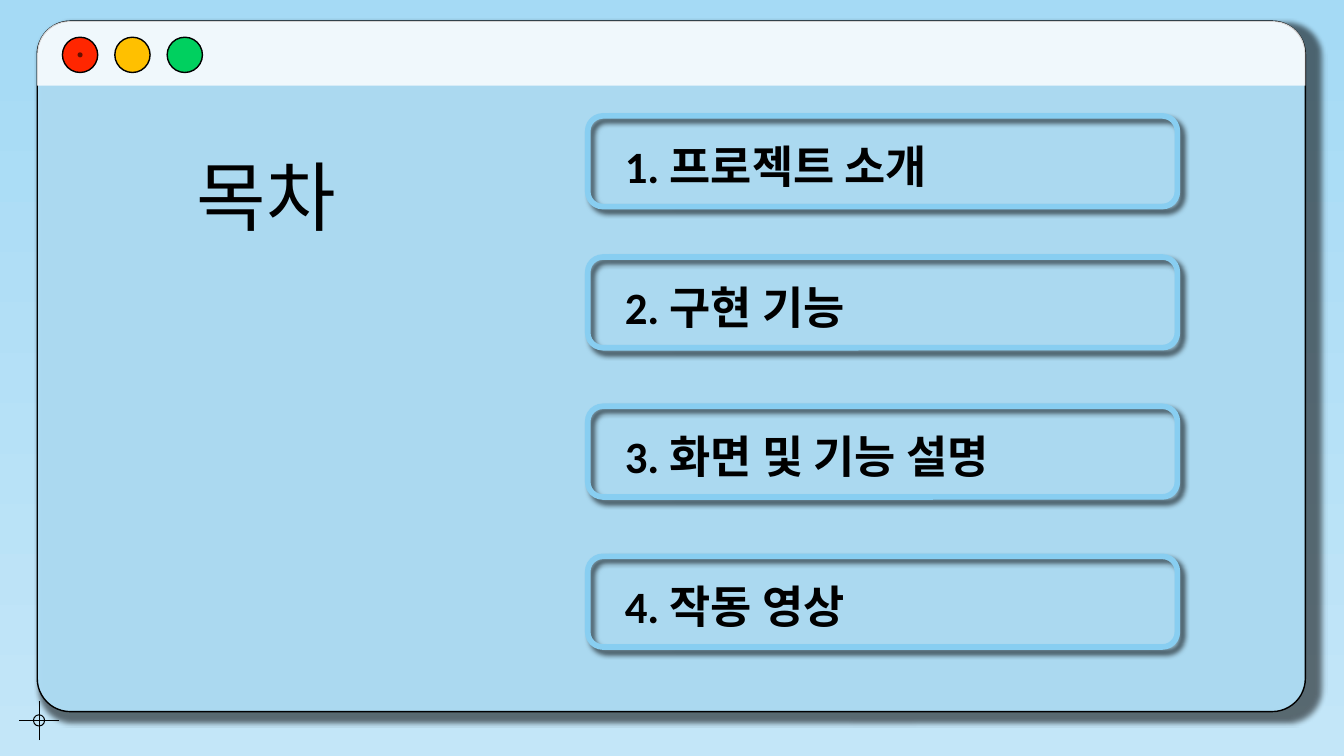
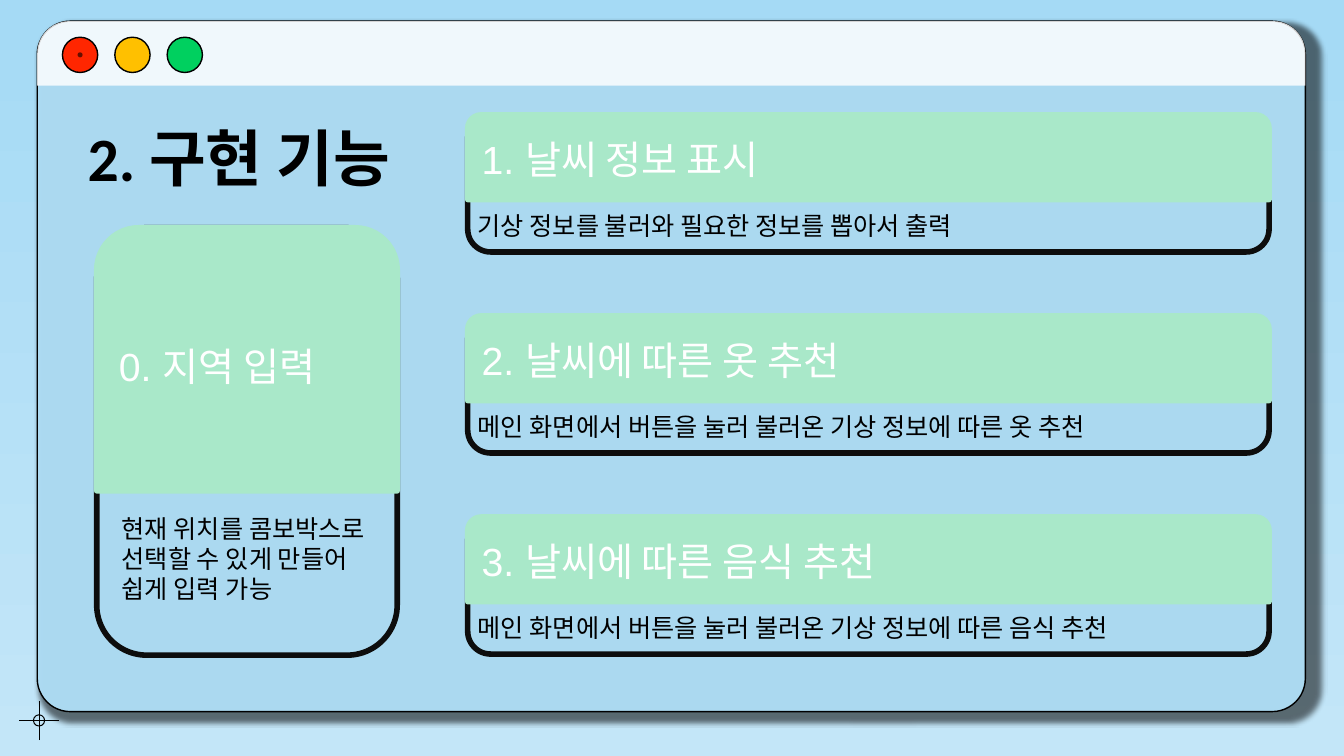
from dataclasses import dataclass

from lxml.etree import SubElement
from pptx import Presentation
from pptx.dml.color import RGBColor
from pptx.enum.shapes import MSO_CONNECTOR, MSO_SHAPE as Preset
from pptx.enum.text import MSO_ANCHOR as Anchor, MSO_AUTO_SIZE as AutoSize, PP_ALIGN as Align
from pptx.oxml.ns import qn
from pptx.util import Pt

BLACK = RGBColor(0x00, 0x00, 0x00)
WHITE = RGBColor(0xFF, 0xFF, 0xFF)
SKY_TOP = RGBColor(0xA5, 0xDA, 0xF5)
SKY_BOTTOM = RGBColor(0xC3, 0xE6, 0xF8)
WINDOW = RGBColor(0xAF, 0xDE, 0xF6)
ITEM_BORDER = RGBColor(0x88, 0xCE, 0xF1)
PANEL_BORDER = RGBColor(0x0D, 0x0D, 0x0D)
MINT = RGBColor(0xA9, 0xE8, 0xC9)
LIGHTS = (RGBColor(0xFF, 0x26, 0x00), RGBColor(0xFF, 0xC0, 0x00), RGBColor(0x00, 0xD0, 0x5F))

HEADING_FONT = "Calibri"
BODY_FONT = "Arial"
TITLE_ONLY_LAYOUT = 5


@dataclass(frozen=True)
class Area:
    left: float
    top: float
    width: float
    height: float

    def lengths(self) -> tuple:
        return Pt(self.left), Pt(self.top), Pt(self.width), Pt(self.height)


@dataclass(frozen=True)
class TextStyle:
    font: str
    size: float
    color: RGBColor = BLACK
    bold: bool = False


@dataclass(frozen=True)
class Shadow:
    alpha: int
    blur: float
    distance: float
    scale: int = 100


@dataclass(frozen=True)
class Panel:
    area: Area
    header_height: float
    header: str
    caption: str
    caption_area: Area


WINDOW_AREA = Area(26.6, 15.1, 905.8, 493.2)
WINDOW_SHADOW = Shadow(57, 4, 3, 101)
ITEM_SHADOW = Shadow(68, 4, 4)
COVER_TITLE = TextStyle(BODY_FONT, 54)
SECTION_TITLE = TextStyle(HEADING_FONT, 44, bold=True)
ITEM_STYLE = TextStyle(HEADING_FONT, 32, bold=True)
HEADER_STYLE = TextStyle(BODY_FONT, 28, WHITE)
CAPTION_STYLE = TextStyle(BODY_FONT, 18)

CONTENTS = (
    (82.8, "1. 프로젝트 소개"),
    (183.6, "2. 구현 기능"),
    (290.2, "3. 화면 및 기능 설명"),
    (397.4, "4. 작동 영상"),
)
FEATURES = (
    ("1. 날씨 정보 표시", "기상 정보를 불러와 필요한 정보를 뽑아서 출력"),
    ("2. 날씨에 따른 옷 추천", "메인 화면에서 버튼을 눌러 불러온 기상 정보에 따른 옷 추천"),
    ("3. 날씨에 따른 음식 추천", "메인 화면에서 버튼을 눌러 불러온 기상 정보에 따른 음식 추천"),
)


def add_preset(shapes, preset, area: Area, fill=None, line=None, line_width=1.0,
               adjustments=(), alpha=None, shadow=None):
    """Draw a preset shape; alpha (fill opacity) is in percent."""
    shape = shapes.add_shape(preset, *area.lengths())
    for index, value in enumerate(adjustments):
        shape.adjustments[index] = value
    if fill is None:
        shape.fill.background()
    else:
        shape.fill.solid()
        shape.fill.fore_color.rgb = fill
    if line is None:
        shape.line.fill.background()
    else:
        shape.line.color.rgb = line
        shape.line.width = Pt(line_width)
    shape.shadow.inherit = False
    properties = shape._element.spPr
    if alpha is not None:
        color = properties.find(f"{qn('a:solidFill')}/{qn('a:srgbClr')}")
        SubElement(color, qn("a:alpha"), val=str(alpha * 1000))
    if shadow is not None:
        fill_shadow(properties.find(qn("a:effectLst")), shadow)
    return shape


def fill_shadow(effects, shadow: Shadow) -> None:
    scale = str(shadow.scale * 1000)
    outer = SubElement(effects, qn("a:outerShdw"), blurRad=str(Pt(shadow.blur)),
                       dist=str(Pt(shadow.distance)), dir=str(45 * 60000),
                       sx=scale, sy=scale, algn="tl", rotWithShape="0")
    color = SubElement(outer, qn("a:srgbClr"), val=str(BLACK))
    SubElement(color, qn("a:alpha"), val=str(shadow.alpha * 1000))


def write_text(frame, text: str, style: TextStyle, anchor=Anchor.TOP, wrap=True) -> None:
    frame.word_wrap = wrap
    frame.vertical_anchor = anchor
    frame.text = text
    para = frame.paragraphs[0]
    para.alignment = Align.LEFT
    para.font.name = style.font
    para.font.size = Pt(style.size)
    para.font.bold = style.bold
    para.font.color.rgb = style.color


def add_text(slide, area: Area, text: str, style: TextStyle) -> None:
    box = slide.shapes.add_textbox(*area.lengths())
    write_text(box.text_frame, text, style)
    box.text_frame.auto_size = AutoSize.SHAPE_TO_FIT_TEXT


def add_hairline(shapes, start: tuple[float, float], end: tuple[float, float]) -> None:
    line = shapes.add_connector(MSO_CONNECTOR.STRAIGHT, *(Pt(value) for value in start + end))
    line.line.color.rgb = BLACK
    line.line.width = Pt(0.75)
    SubElement(line._element.spPr, qn("a:effectLst"))


def style_master(deck, slide) -> None:
    """Set the sky background and move a crosshair drawn on the slide to the master."""
    master = deck.slide_master
    sky = master.background.fill
    sky.gradient()
    sky.gradient_angle = 270
    for stop, color in zip(sky.gradient_stops, (SKY_TOP, SKY_BOTTOM)):
        stop.color.rgb = color

    crosshair = slide.shapes.add_group_shape()
    center_x, center_y, arm, radius = 27.9, 514.6, 14, 4
    add_hairline(crosshair.shapes, (center_x - arm, center_y), (center_x + arm, center_y))
    add_hairline(crosshair.shapes, (center_x, center_y + arm), (center_x, center_y - arm))
    ring = Area(center_x - radius, center_y - radius, 2 * radius, 2 * radius)
    add_preset(crosshair.shapes, Preset.OVAL, ring, line=BLACK, line_width=0.75)
    for number, properties in enumerate(crosshair._element.iter(qn("p:cNvPr")), 100):
        properties.set("id", str(number))
    master.shapes._spTree.append(crosshair._element)


def add_window(slide) -> None:
    shapes = slide.shapes
    add_preset(shapes, Preset.ROUNDED_RECTANGLE, WINDOW_AREA, WINDOW, BLACK,
               adjustments=(0.048,), alpha=96, shadow=WINDOW_SHADOW)
    bar = Area(WINDOW_AREA.left, WINDOW_AREA.top, WINDOW_AREA.width, 46.1)
    add_preset(shapes, Preset.ROUND_2_SAME_RECTANGLE, bar, WHITE,
               adjustments=(0.5, 0), alpha=83)
    for index, color in enumerate(LIGHTS):
        add_preset(shapes, Preset.OVAL, Area(44.6 + 37.4 * index, 26.6, 25.2, 25.2), color, BLACK)
    add_preset(shapes, Preset.OVAL, Area(55.4, 37.4, 3.6, 3.6), BLACK, alpha=60)


def add_title(slide, area: Area, text: str, style: TextStyle, wrap=True) -> None:
    """Place the title in front of the window."""
    title = slide.shapes.title
    title.left, title.top, title.width, title.height = area.lengths()
    write_text(title.text_frame, text, style, wrap=wrap)
    title.text_frame.auto_size = AutoSize.SHAPE_TO_FIT_TEXT
    slide.shapes._spTree.append(title._element)


def add_panel(slide, panel: Panel) -> None:
    area = panel.area
    add_preset(slide.shapes, Preset.ROUNDED_RECTANGLE, area, line=PANEL_BORDER, line_width=4)
    header_area = Area(area.left, area.top, area.width, panel.header_height)
    header = add_preset(slide.shapes, Preset.ROUND_2_SAME_RECTANGLE, header_area, MINT, MINT, 4,
                        adjustments=(0.16, 0))
    write_text(header.text_frame, panel.header, HEADER_STYLE, Anchor.MIDDLE)
    add_text(slide, panel.caption_area, panel.caption, CAPTION_STYLE)


def build_contents(slide) -> None:
    add_window(slide)
    add_title(slide, Area(133.2, 103.7, 114.5, 72.7), "목차", COVER_TITLE, wrap=False)
    for top, text in CONTENTS:
        add_preset(slide.shapes, Preset.ROUNDED_RECTANGLE, Area(419.8, top, 421.2, 64.8),
                   line=ITEM_BORDER, line_width=4, shadow=ITEM_SHADOW)
        add_text(slide, Area(439.2, top + 12.4, 401.8, 46), text, ITEM_STYLE)


def build_features(slide) -> None:
    add_window(slide)
    add_title(slide, Area(55.4, 82.1, 297.4, 60.5), "2. 구현 기능", SECTION_TITLE)
    left, first_top, pitch = 334.1, 82.1, 143.6
    for index, (header, caption) in enumerate(FEATURES):
        top = first_top + pitch * index
        add_panel(slide, Panel(Area(left, top, 572.4, 97.9), 60.5, header, caption,
                               Area(left, top + 64.8, 532.1, 29)))
    add_panel(slide, Panel(Area(69.1, 162.7, 214.6, 305.3), 187.9, "0. 지역 입력",
                           "현재 위치를 콤보박스로 선택할 수 있게 만들어 쉽게 입력 가능",
                           Area(79.9, 362.9, 193.7, 72.7)))


def main() -> None:
    deck = Presentation()
    deck.slide_width, deck.slide_height = Pt(960), Pt(540)
    layout = deck.slide_layouts[TITLE_ONLY_LAYOUT]
    contents, features = (deck.slides.add_slide(layout) for _ in range(2))
    style_master(deck, contents)
    build_contents(contents)
    build_features(features)
    deck.save("out.pptx")


if __name__ == "__main__":
    main()
